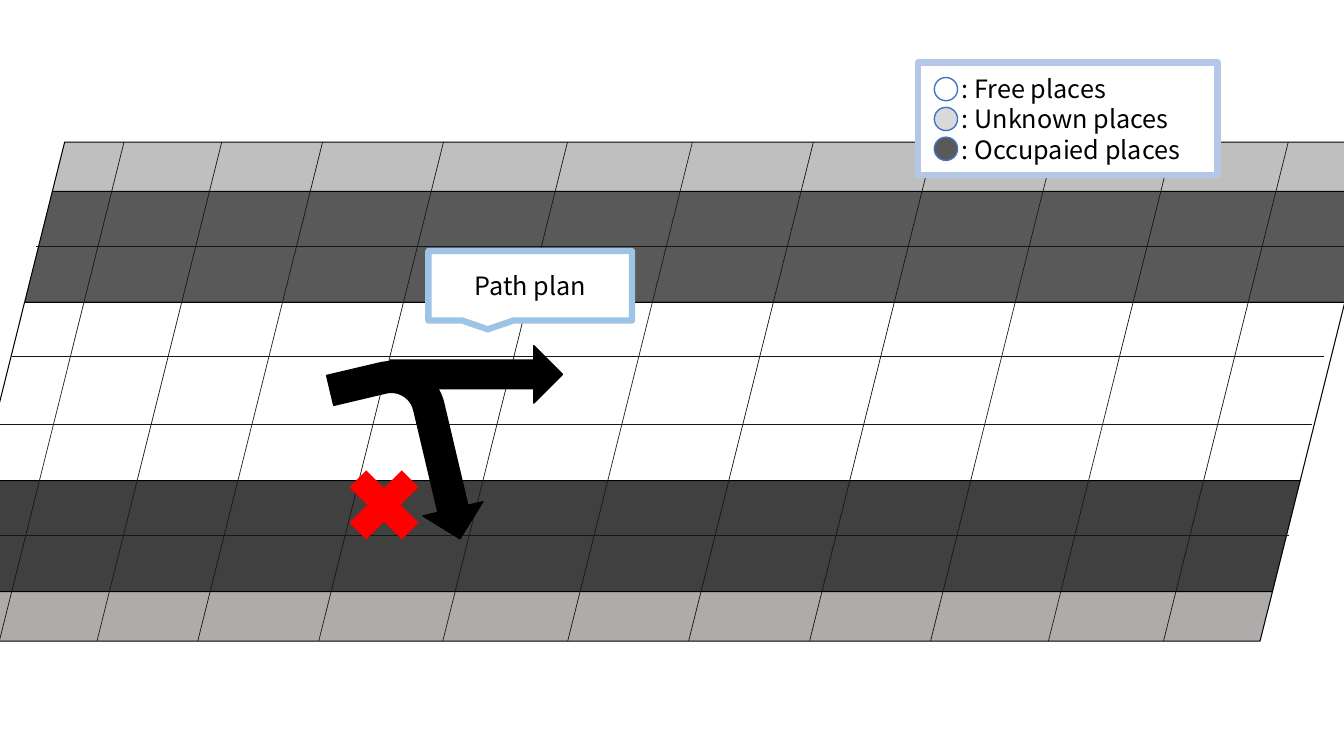
from dataclasses import dataclass

import pptx
import pptx.dml.color
import pptx.enum.shapes
import pptx.enum.text
import pptx.oxml.ns
import pptx.util
from lxml import etree

Pt = pptx.util.Pt
RGBColor = pptx.dml.color.RGBColor
Shape = pptx.enum.shapes.MSO_SHAPE

FONT = "Noto Sans CJK JP"
BLACK = RGBColor(0x00, 0x00, 0x00)
WHITE = RGBColor(0xFF, 0xFF, 0xFF)
RED = RGBColor(0xFF, 0x00, 0x00)
GRID = RGBColor(0x18, 0x17, 0x17)
FAR_UNKNOWN = RGBColor(0xBF, 0xBF, 0xBF)
FAR_OCCUPIED = RGBColor(0x59, 0x59, 0x59)
NEAR_OCCUPIED = RGBColor(0x40, 0x40, 0x40)
NEAR_UNKNOWN = RGBColor(0xAF, 0xAB, 0xAB)
LEGEND_UNKNOWN = RGBColor(0xD9, 0xD9, 0xD9)
CALLOUT_BORDER = RGBColor(0x9D, 0xC3, 0xE6)
LEGEND_BORDER = RGBColor(0xB4, 0xC7, 0xE7)
DOT_BORDER = RGBColor(0x44, 0x72, 0xC4)

MAP_LEFT, MAP_TOP, MAP_WIDTH = 46.2, 101.5, 943
SLOPE = 0.25  # sideways shift of the map per unit of depth


@dataclass
class Band:
    height: float
    fill: RGBColor | None


@dataclass
class RowLine:
    left: float
    y: float


@dataclass
class LegendEntry:
    label: str
    fill: RGBColor


BANDS = [
    Band(35.3, FAR_UNKNOWN),
    Band(79.2, FAR_OCCUPIED),
    Band(127.4, None),
    Band(79.2, NEAR_OCCUPIED),
    Band(35.3, NEAR_UNKNOWN),
]
COLUMN_TOPS = [88.6, 158.4, 230.4, 316.8, 405.4, 494.6, 581, 667.4, 753.8, 838, 920.2]
ROW_LINES = [RowLine(8.6, 254.9), RowLine(0, 303.1), RowLine(-16.6, 382.3), RowLine(25.9, 175.7)]
ROW_LENGTH = 937
LEGEND = [
    LegendEntry(": Free places", WHITE),
    LegendEntry(": Unknown places", LEGEND_UNKNOWN),
    LegendEntry(": Occupaied places", FAR_OCCUPIED),
]


def add_shape(slide: pptx.slide.Slide, kind: Shape, left: float, top: float, width: float,
              height: float, fill: RGBColor | None, line: RGBColor | None = None,
              weight: float = 1, rotation: float = 0) -> pptx.shapes.autoshape.Shape:
    shape = slide.shapes.add_shape(kind, Pt(left), Pt(top), Pt(width), Pt(height))
    shape.shadow.inherit = False
    shape.rotation = rotation
    if fill is None:
        shape.fill.background()
    else:
        shape.fill.solid()
        shape.fill.fore_color.rgb = fill
    if line is None:
        shape.line.fill.background()
    else:
        shape.line.color.rgb = line
        shape.line.width = Pt(weight)
    return shape


def add_grid_line(slide: pptx.slide.Slide, x1: float, y1: float, x2: float, y2: float) -> None:
    connector = slide.shapes.add_connector(
        pptx.enum.shapes.MSO_CONNECTOR.STRAIGHT, Pt(x1), Pt(y1), Pt(x2), Pt(y2))
    connector.line.color.rgb = GRID
    connector.line.width = Pt(0.5)
    etree.SubElement(connector._element.spPr, pptx.oxml.ns.qn("a:effectLst"))


def set_text(shape: pptx.shapes.autoshape.Shape, text: str,
             alignment: pptx.enum.text.PP_ALIGN) -> None:
    text_frame = shape.text_frame
    text_frame.text = text
    text_frame.word_wrap = True
    text_frame.vertical_anchor = pptx.enum.text.MSO_ANCHOR.MIDDLE
    for paragraph in text_frame.paragraphs:
        paragraph.alignment = alignment
        for run in paragraph.runs:
            run.font.name = FONT
            run.font.size = Pt(18)
            run.font.color.rgb = BLACK


def draw_map(slide: pptx.slide.Slide) -> None:
    bottom = MAP_TOP
    for band in BANDS:
        top, bottom = bottom, bottom + band.height
        left = MAP_LEFT - SLOPE * (bottom - MAP_TOP)
        add_shape(slide, Shape.PARALLELOGRAM, left, top, MAP_WIDTH + SLOPE * band.height,
                  band.height, band.fill, BLACK, 0.75)
    for x in COLUMN_TOPS:
        add_grid_line(slide, x, MAP_TOP, x - SLOPE * (bottom - MAP_TOP), bottom)
    for row in ROW_LINES:
        add_grid_line(slide, row.left + ROW_LENGTH, row.y, row.left, row.y)


def draw_path_plan(slide: pptx.slide.Slide) -> None:
    add_shape(slide, Shape.BENT_ARROW, 223.9, 280.1, 135.4, 87.8, BLACK, BLACK, rotation=76.7)
    add_shape(slide, Shape.UP_ARROW, 319.7, 205.9, 41, 123.1, BLACK, BLACK, rotation=90)
    add_shape(slide, Shape.MATH_MULTIPLY, 238.3, 324.7, 72, 72, RED)
    callout = add_shape(slide, Shape.RECTANGULAR_CALLOUT, 306, 179.3, 145.4, 49.7,
                        WHITE, CALLOUT_BORDER, 4.5)
    set_text(callout, "Path plan", pptx.enum.text.PP_ALIGN.CENTER)


def draw_legend(slide: pptx.slide.Slide) -> None:
    box = add_shape(slide, Shape.FLOWCHART_PROCESS, 655.9, 44.6, 213.8, 80.6,
                    WHITE, LEGEND_BORDER, 4.5)
    set_text(box, "\n".join(entry.label for entry in LEGEND), pptx.enum.text.PP_ALIGN.LEFT)
    box.text_frame.margin_left = Pt(31.2)
    for index, entry in enumerate(LEGEND):
        add_shape(slide, Shape.FLOWCHART_CONNECTOR, 667.4, 55.4 + 21.3 * index, 16.6, 16.6,
                  entry.fill, DOT_BORDER)


def main() -> None:
    presentation = pptx.Presentation()
    presentation.slide_width = Pt(960)
    presentation.slide_height = Pt(540)
    slide = presentation.slides.add_slide(presentation.slide_layouts[6])
    draw_map(slide)
    draw_path_plan(slide)
    draw_legend(slide)
    presentation.save("out.pptx")


if __name__ == "__main__":
    main()
